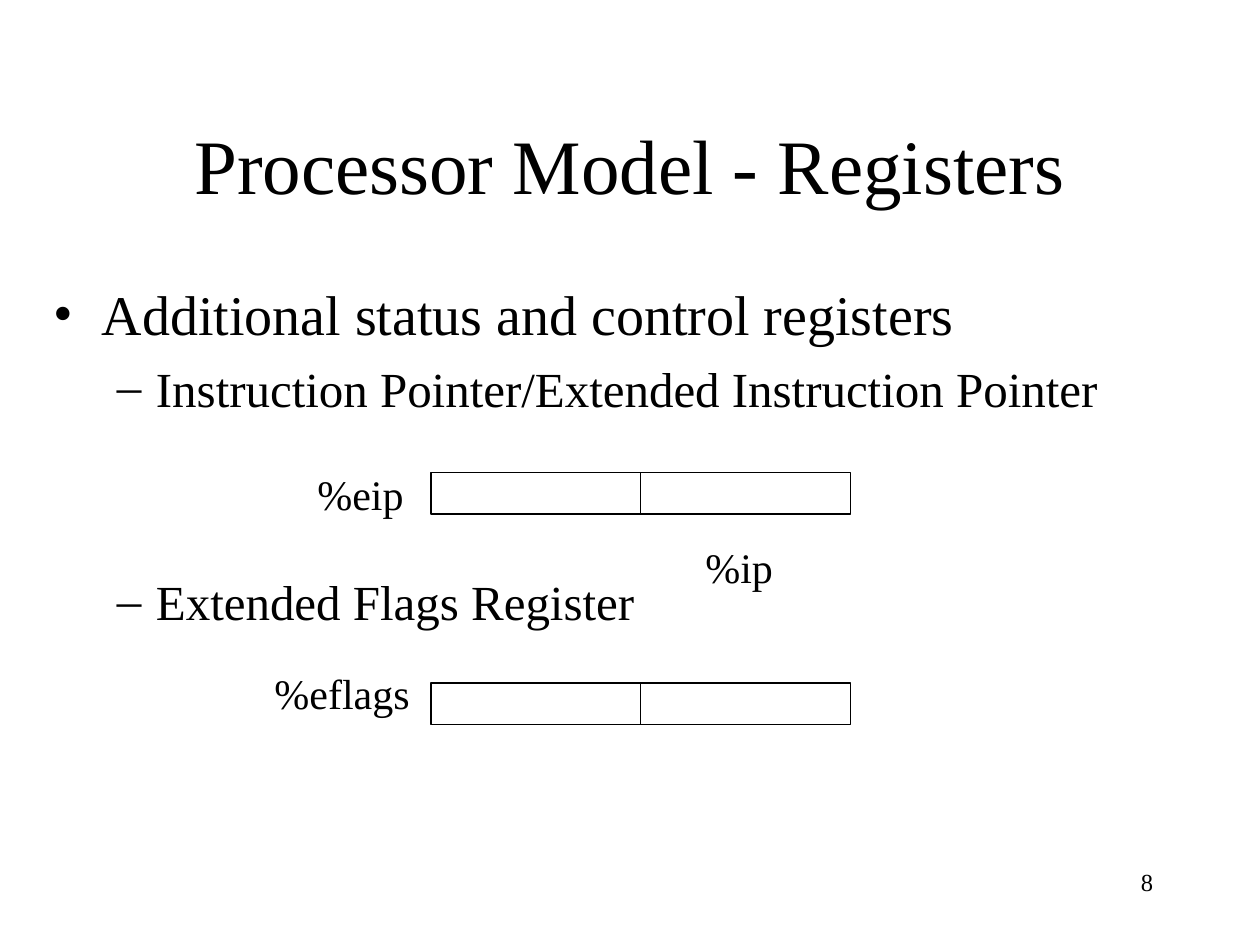
from lxml import etree
from pptx import Presentation
from pptx.dml.color import RGBColor
from pptx.enum import shapes, text
from pptx.oxml.ns import qn
from pptx.util import Inches, Pt

BLACK = RGBColor(0, 0, 0)
FONT = "Times New Roman"


def add_run(p, content, size):
    r = p.add_run()
    r.text = content
    r.font.name, r.font.size = FONT, Pt(size)
    r.font.color.rgb = BLACK


def add_text(s, content, x, y, w, h, size=24, align=text.PP_ALIGN.LEFT,
             anchor=text.MSO_ANCHOR.TOP, wrap=False):
    """Text box; one that does not wrap grows to fit its text."""
    box = s.shapes.add_textbox(Inches(x), Inches(y), Inches(w), Inches(h))
    tf = box.text_frame
    tf.word_wrap, tf.vertical_anchor = wrap, anchor
    if not wrap:
        tf.auto_size = text.MSO_AUTO_SIZE.SHAPE_TO_FIT_TEXT
    p = tf.paragraphs[0]
    p.alignment = align
    add_run(p, content, size)


def set_bullet(p, char, margin, indent):
    pPr = p._p.get_or_add_pPr()
    pPr.set("marL", str(Inches(margin)))
    pPr.set("indent", str(Inches(indent)))
    etree.SubElement(pPr, qn("a:buFont")).set("typeface", FONT)
    etree.SubElement(pPr, qn("a:buChar")).set("char", char)


def add_outline(s, items, x, y, w, h):
    """Bulleted list; each item is (text, level, space before in points)."""
    styles = [("•", 32, 0.38, -0.38), ("–", 28, 0.81, -0.31)]
    box = s.shapes.add_textbox(Inches(x), Inches(y), Inches(w), Inches(h))
    tf = box.text_frame
    tf.word_wrap = True
    for i, (content, level, before) in enumerate(items):
        p = tf.add_paragraph() if i else tf.paragraphs[0]
        char, size, margin, indent = styles[level]
        p.level, p.space_before = level, Pt(before)
        set_bullet(p, char, margin, indent)
        add_run(p, content, size)


def add_register(s, x, y, w, h):
    """Register box divided into two equal halves."""
    sp = s.shapes.add_shape(shapes.MSO_SHAPE.RECTANGLE,
                            Inches(x), Inches(y), Inches(w), Inches(h))
    sp.shadow.inherit = False
    sp.fill.background()
    mid = Inches(x + w / 2)
    divider = s.shapes.add_connector(shapes.MSO_CONNECTOR.STRAIGHT,
                                     mid, Inches(y), mid, Inches(y + h))
    etree.SubElement(divider._element.spPr, qn("a:effectLst"))
    for part in (sp, divider):
        part.line.color.rgb = BLACK
        part.line.width = Pt(0.75)


def main():
    prs = Presentation()
    prs.slide_width, prs.slide_height = Inches(10), Inches(7.5)
    s = prs.slides.add_slide(prs.slide_layouts[6])

    # Page number and title
    add_text(s, "8", 7.17, 6.83, 2.08, 0.5, size=14,
             align=text.PP_ALIGN.RIGHT, wrap=True)
    add_text(s, "Processor Model - Registers", 0.75, 0.67, 8.5, 1.25, size=44,
             align=text.PP_ALIGN.CENTER, anchor=text.MSO_ANCHOR.MIDDLE, wrap=True)

    # Outline, with a gap for the first register drawing
    add_outline(s, [
        ("Additional status and control registers", 0, 8),
        ("Instruction Pointer/Extended Instruction Pointer", 1, 6.5),
        ("Extended Flags Register", 1, 88.5),
    ], 0.33, 2.17, 9.33, 4.5)

    # Registers and their labels
    for y in (3.75, 5.42):
        add_register(s, 3.42, y, 3.33, 0.33)
    for label, x, y, w in (("%eip", 2.42, 3.67, 0.89),
                           ("%ip", 5.5, 4.25, 0.74),
                           ("%eflags", 2.08, 5.25, 1.28)):
        add_text(s, label, x, y, w, 0.5)

    prs.save("out.pptx")


if __name__ == "__main__":
    main()
